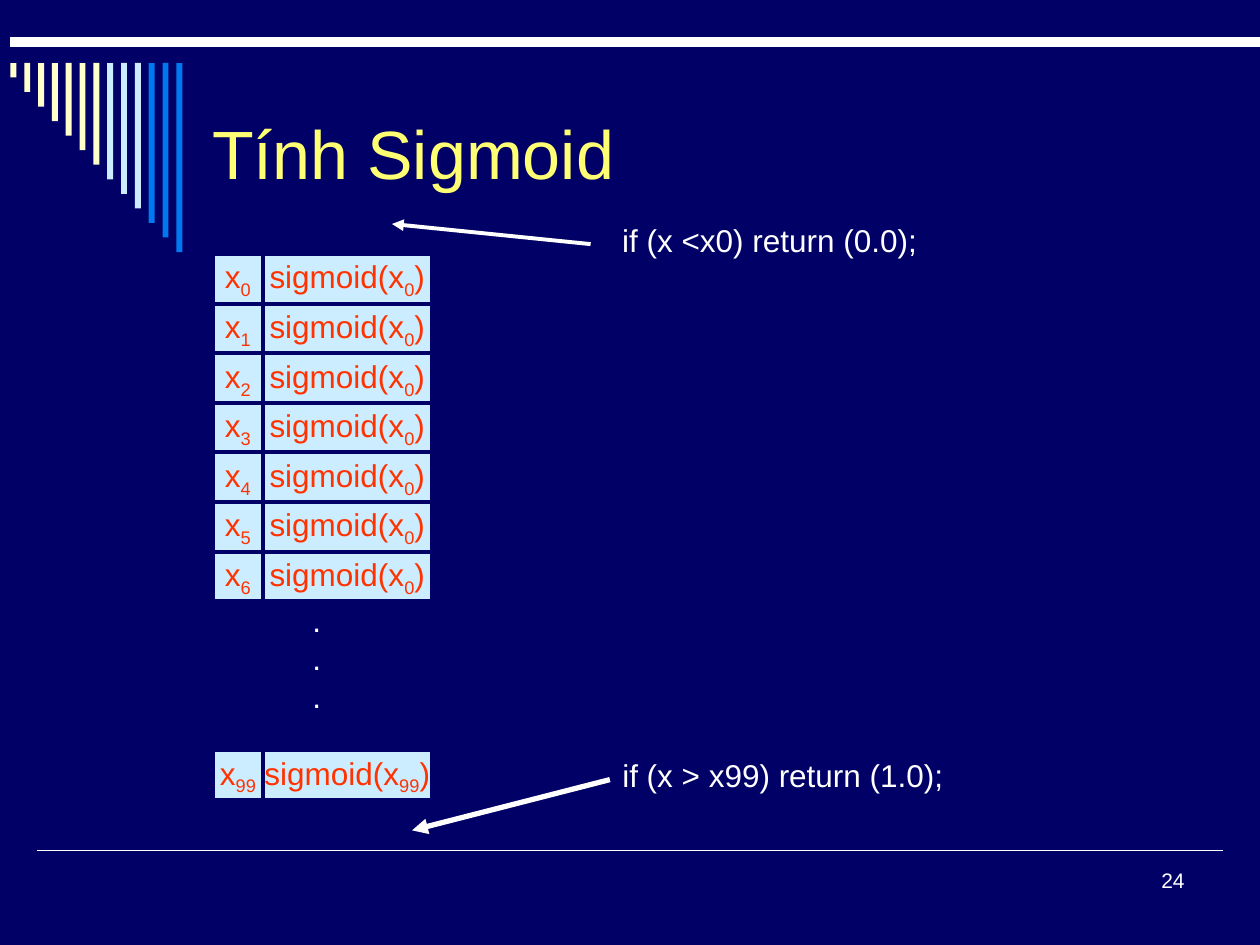
"""Build a slide showing a sigmoid lookup table and its two out-of-range cases."""
import pptx
import pptx.dml.color
import pptx.enum.shapes
import pptx.enum.text
import pptx.oxml.ns
import pptx.util
import lxml.etree

Pt = pptx.util.Pt
ALIGN = pptx.enum.text.PP_ALIGN
ANCHOR = pptx.enum.text.MSO_ANCHOR

THEME = {
    "font": "Arial",
    "background": "000066", "text": "FFFFFF", "title": "FFFF73",
    "cell": "CCECFF", "cell_text": "FF3300",
    "cream": "FFFFCC", "pale": "CCECFF", "blue": "0078F0",
    "title_size": 39, "body_size": 18, "number_size": 12,
}

TITLE = "Tính Sigmoid"
PAGE_NUMBER = "24"
TABLE_ROWS = [(row, str(row), "0") for row in range(7)] + [(10, "99", "99")]
BAR_COLORS = ["cream"] * 7 + ["pale"] * 3 + ["blue"] * 3
TEXT_BOXES = [
    ([PAGE_NUMBER], (516, 492, 168, 36), "number_size", ALIGN.RIGHT, True),
    ([".", ".", "."], (171.5, 340, 19.5, 72), "body_size", ALIGN.LEFT, False),
    (["if (x > x99) return (1.0);"], (348.5, 428.5, 198, 29), "body_size", ALIGN.LEFT, False),
    (["if (x <x0) return (0.0);"], (348.5, 122.5, 183, 29), "body_size", ALIGN.LEFT, False),
]
RULES = [((21, 486), (699, 486), 1), ((6, 24), (720, 24), 6)]
ARROWS = [((337.5, 139.5), (224, 128), 2.25), ((348.5, 445.5), (235.5, 474.5), 3)]

BAR_LEFT, BAR_TOP, BAR_PITCH, BAR_WIDTH, BAR_STEP = 6, 36, 7.9, 3.4, 8.31
TABLE_LEFT, TABLE_TOP, ROW_HEIGHT = 121.8, 145.2, 28.35
INDEX_WIDTH, VALUE_WIDTH = 28.4, 96.5


def color(name):
    return pptx.dml.color.RGBColor.from_string(THEME[name])


def add_run(paragraph, text, size, color_name, subscript=False):
    run = paragraph.add_run()
    run.text = text
    run.font.name = THEME["font"]
    run.font.size = Pt(THEME[size])
    run.font.color.rgb = color(color_name)
    if subscript:
        run.font._element.set("baseline", "-25000")


def add_rectangle(shapes, box, fill):
    shape = shapes.add_shape(pptx.enum.shapes.MSO_SHAPE.RECTANGLE, *map(Pt, box))
    shape.shadow.inherit = False
    shape.fill.solid()
    shape.fill.fore_color.rgb = color(fill)
    shape.line.fill.background()
    return shape


def add_cell(shapes, box, parts):
    shape = add_rectangle(shapes, box, "cell")
    shape.line.color.rgb = color("background")
    shape.line.width = Pt(2.25)
    frame = shape.text_frame
    frame.word_wrap = False
    frame.vertical_anchor = ANCHOR.MIDDLE
    paragraph = frame.paragraphs[0]
    paragraph.alignment = ALIGN.CENTER
    for position, text in enumerate(parts):
        add_run(paragraph, text, "body_size", "cell_text", subscript=position == 1)


def add_line(shapes, start, end, width, arrow=False):
    line = shapes.add_connector(
        pptx.enum.shapes.MSO_CONNECTOR.STRAIGHT, *map(Pt, start + end))
    line.line.color.rgb = color("text")
    line.line.width = Pt(width)
    qualified = pptx.oxml.ns.qn
    if arrow:
        lxml.etree.SubElement(line.line._get_or_add_ln(), qualified("a:tailEnd"), type="triangle")
    lxml.etree.SubElement(line._element.spPr, qualified("a:effectLst"))


def add_text_box(shapes, lines, box, size, alignment, wrap):
    frame = shapes.add_textbox(*map(Pt, box)).text_frame
    frame.word_wrap = wrap
    for position, text in enumerate(lines):
        paragraph = frame.add_paragraph() if position else frame.paragraphs[0]
        paragraph.alignment = alignment
        add_run(paragraph, text, size, "text")


def format_title(title):
    title.left, title.top, title.width, title.height = map(Pt, (114, 36, 606, 102))
    frame = title.text_frame
    frame.vertical_anchor = ANCHOR.MIDDLE
    paragraph = frame.paragraphs[0]
    paragraph.alignment = ALIGN.LEFT
    add_run(paragraph, TITLE, "title_size", "title")


def main():
    presentation = pptx.Presentation()
    presentation.slide_width, presentation.slide_height = Pt(720), Pt(540)
    slide = presentation.slides.add_slide(presentation.slide_layouts[5])
    slide.background.fill.solid()
    slide.background.fill.fore_color.rgb = color("background")
    shapes = slide.shapes
    format_title(shapes.title)

    for start, end, width in RULES:
        add_line(shapes, start, end, width)
    bars = shapes.add_group_shape().shapes
    for position, fill in enumerate(BAR_COLORS):
        left = BAR_LEFT + position * BAR_PITCH
        add_rectangle(bars, (left, BAR_TOP, BAR_WIDTH, (position + 1) * BAR_STEP), fill)

    for row, index, argument in TABLE_ROWS:
        cells = shapes.add_group_shape().shapes
        top = TABLE_TOP + row * ROW_HEIGHT
        add_cell(cells, (TABLE_LEFT + INDEX_WIDTH, top, VALUE_WIDTH, ROW_HEIGHT),
                 ("sigmoid(x", argument, ")"))
        add_cell(cells, (TABLE_LEFT, top, INDEX_WIDTH, ROW_HEIGHT), ("x", index))

    for text_box in TEXT_BOXES:
        add_text_box(shapes, *text_box)
    for start, end, width in ARROWS:
        add_line(shapes, start, end, width, arrow=True)
    presentation.save("out.pptx")


if __name__ == "__main__":
    main()
